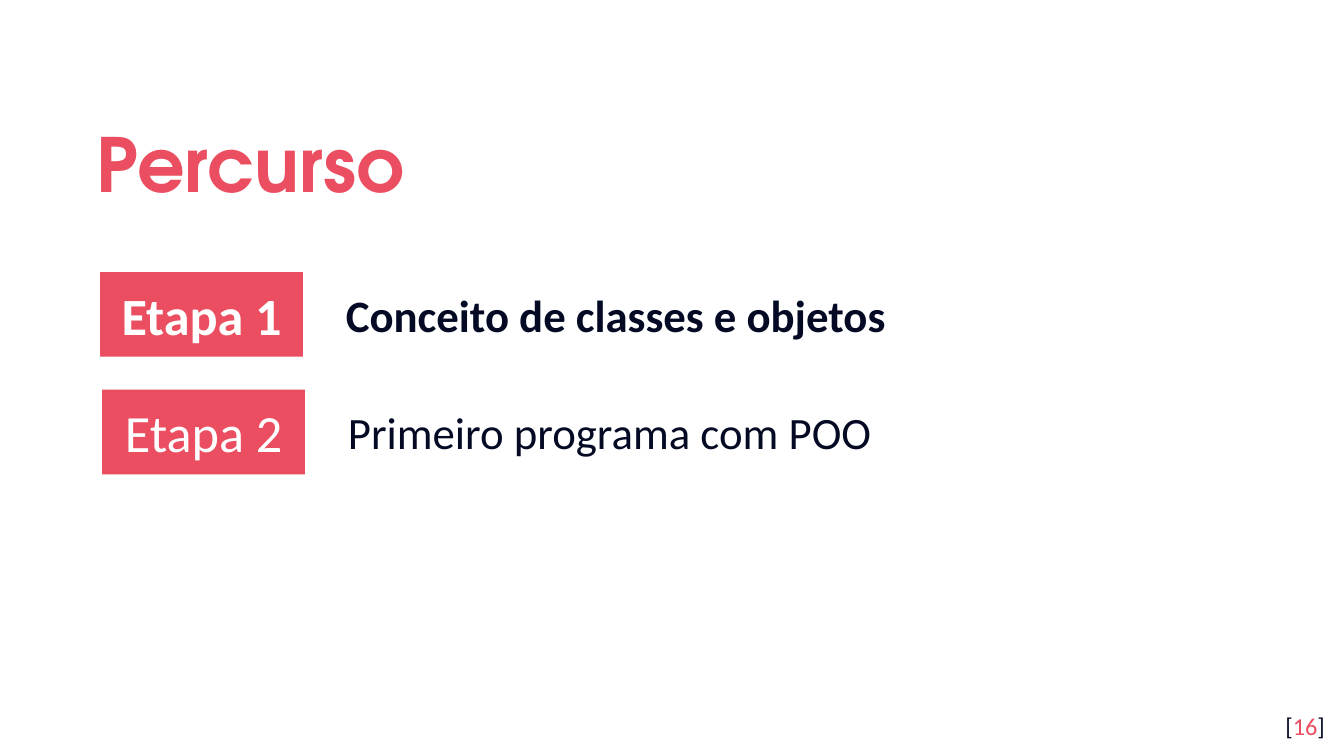
"""Build the "Percurso" slide, with its two course stages."""
from pptx import Presentation
from pptx import util as u
from pptx.dml.color import RGBColor
from pptx.enum import shapes, text

PX = 4572
COLORS = {"accent": "EA4E60", "ink": "040A24", "white": "FFFFFF"}
BODY_FONT = "Calibri"
TITLE = "Percurso"
STAGES = [
    ("Etapa 1", "Conceito de classes e objetos", True),
    ("Etapa 2", "Primeiro programa com POO", False),
]
PAGE_NUMBER = [("[", "ink"), ("16", "accent"), ("]", "ink")]
STAGE_LEFT, STAGE_TOP = 149, 405
STEP_X, STEP_Y = 3, 175
LABEL_SIZE = (302, 126)
TOPIC_OFFSET, TOPIC_SIZE = (346, 13), (1350, 100)


def px(*lengths):
    return [u.Emu(length * PX) for length in lengths]


def color(name):
    return RGBColor.from_string(COLORS[name])


def set_frame(shape, anchor, margin_y=20):
    frame = shape.text_frame
    frame.word_wrap = True
    frame.auto_size = text.MSO_AUTO_SIZE.NONE
    frame.vertical_anchor = anchor
    frame.margin_left = frame.margin_right = u.Emu(20 * PX)
    frame.margin_top = frame.margin_bottom = u.Emu(margin_y * PX)
    return frame.paragraphs[0]


def write(paragraph, runs, size, align, font=BODY_FONT, bold=False):
    paragraph.alignment = align
    paragraph.font.size = u.Pt(size)
    paragraph.font.name = font
    paragraph.font.bold = bold
    for words, color_name in runs:
        run = paragraph.add_run()
        run.text = words
        run.font.color.rgb = color(color_name)


def add_title(slide):
    title = slide.shapes.title
    title.left, title.top, title.width, title.height = px(124, 140, 1620, 184)
    paragraph = set_frame(title, text.MSO_ANCHOR.MIDDLE)
    paragraph.line_spacing = 1.15
    write(paragraph, [(TITLE, "accent")], 40, text.PP_ALIGN.LEFT, "TeX Gyre Adventor", True)


def add_stage(slide, index, label, topic, bold):
    left, top = STAGE_LEFT + index * STEP_X, STAGE_TOP + index * STEP_Y
    box = slide.shapes.add_shape(shapes.MSO_SHAPE.RECTANGLE, *px(left, top, *LABEL_SIZE))
    box.shadow.inherit = False
    box.fill.solid()
    box.fill.fore_color.rgb = color("accent")
    box.line.fill.background()
    paragraph = set_frame(box, text.MSO_ANCHOR.MIDDLE)
    write(paragraph, [(label, "white")], 28, text.PP_ALIGN.CENTER, bold=bold)

    offset_x, offset_y = TOPIC_OFFSET
    topic_box = slide.shapes.add_textbox(*px(left + offset_x, top + offset_y, *TOPIC_SIZE))
    paragraph = set_frame(topic_box, text.MSO_ANCHOR.TOP, 10)
    write(paragraph, [(topic, "ink")], 24, text.PP_ALIGN.LEFT, bold=bold)


def main():
    presentation = Presentation()
    presentation.slide_width, presentation.slide_height = px(2000, 1125)
    slide = presentation.slides.add_slide(presentation.slide_layouts[5])
    add_title(slide)
    for index, stage in enumerate(STAGES):
        add_stage(slide, index, *stage)
    number_box = slide.shapes.add_textbox(*px(1871, 1039, 120, 86))
    paragraph = set_frame(number_box, text.MSO_ANCHOR.TOP)
    write(paragraph, PAGE_NUMBER, 13, text.PP_ALIGN.RIGHT)
    presentation.save("out.pptx")


if __name__ == "__main__":
    main()
